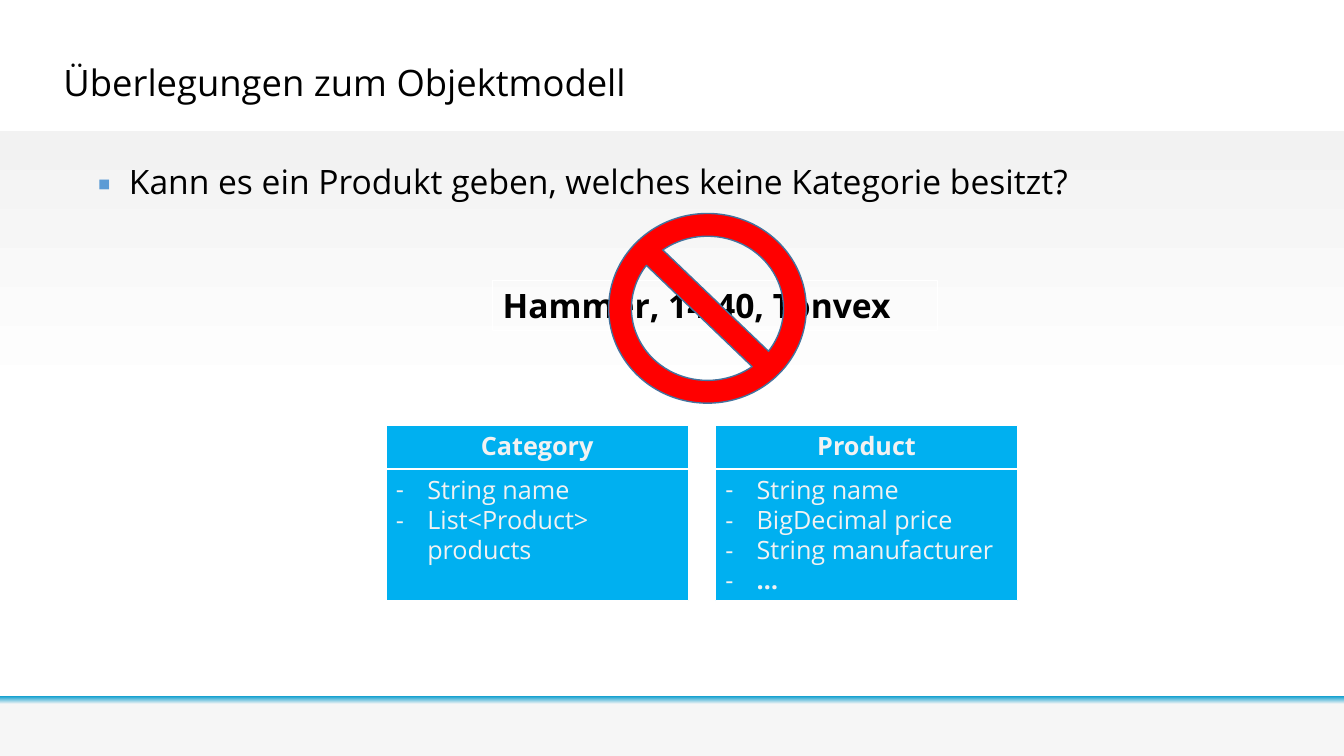
from lxml.etree import SubElement
from pptx import Presentation
from pptx.dml.color import RGBColor
from pptx.enum.shapes import MSO_SHAPE as Preset
from pptx.enum.text import MSO_ANCHOR as Anchor, PP_ALIGN as Align
from pptx.oxml.ns import qn
from pptx.util import Cm, Pt

FONT = "Open Sans"
BLACK, WHITE, PALE, BLUE = "000000", "FFFFFF", "F2F2F2", "00B0F0"
SLIDE_WIDTH, SLIDE_HEIGHT = 33.87, 19.05
INDENT = Cm(0.79)


def color(hex_value):
    return RGBColor.from_string(hex_value)


def add_preset(slide, preset, box, fill=None, line=None, line_width=1):
    shape = slide.shapes.add_shape(preset, *map(Cm, box))
    shape.shadow.inherit = False
    if fill:
        shape.fill.solid()
        shape.fill.fore_color.rgb = color(fill)
    else:
        shape.fill.background()
    if line:
        shape.line.color.rgb = color(line)
        shape.line.width = Pt(line_width)
    else:
        shape.line.fill.background()
    return shape


def add_gradient_band(slide, box, stops):
    band = add_preset(slide, Preset.RECTANGLE, box)
    band.fill.gradient()
    band.fill.gradient_angle = 270
    for stop, (position, hex_value) in zip(band.fill.gradient_stops, stops):
        stop.position = position
        stop.color.rgb = color(hex_value)


def write(shape, text, size, text_color, bold=False, align=Align.LEFT,
          anchor=Anchor.TOP):
    frame = shape.text_frame
    frame.word_wrap = True
    frame.vertical_anchor = anchor
    frame.text = text
    for paragraph in frame.paragraphs:
        paragraph.alignment = align
        for run in paragraph.runs:
            run.font.name = FONT
            run.font.size = Pt(size)
            run.font.bold = bold
            run.font.color.rgb = color(text_color)
    return frame.paragraphs


def add_bullet(paragraph, char, bullet_color):
    properties = paragraph._p.get_or_add_pPr()
    properties.set("marL", str(INDENT))
    properties.set("indent", str(-INDENT))
    tint = SubElement(properties, qn("a:buClr"))
    SubElement(tint, qn("a:srgbClr"), val=bullet_color)
    SubElement(properties, qn("a:buFont"), typeface=FONT)
    SubElement(properties, qn("a:buChar"), char=char)


def add_class_card(slide, left, name, fields):
    top, width, height, header = 10.72, 7.62, 4.42, 1.1
    card = add_preset(slide, Preset.RECTANGLE, (left, top, width, height),
                      BLUE, WHITE)
    write(card, name, 18, PALE, bold=True, align=Align.CENTER)
    body = add_preset(slide, Preset.RECTANGLE,
                      (left, top + header, width, height - header), BLUE, WHITE)
    field_lines = write(body, "\n".join(fields), 18, PALE)
    for field_line in field_lines:
        add_bullet(field_line, "-", PALE)
    return field_lines


def add_text(slide, box, text, size, **style):
    textbox = slide.shapes.add_textbox(*map(Cm, box))
    return write(textbox, text, size, BLACK, **style)[0]


def main():
    deck = Presentation()
    deck.slide_width, deck.slide_height = Cm(SLIDE_WIDTH), Cm(SLIDE_HEIGHT)
    slide = deck.slides.add_slide(deck.slide_layouts[6])

    # Background bands
    add_gradient_band(slide, (0, 17.53, SLIDE_WIDTH, 1.52),
                      [(0, "0099CC"), (0.14, "F6F6F6")])
    add_gradient_band(slide, (0, 3.3, SLIDE_WIDTH, 6.88),
                      [(0, PALE), (1, WHITE)])

    # Title and question
    title = add_text(slide, (1.35, 1.02, 31.17, 2.21),
                     "Überlegungen zum Objektmodell", 26, anchor=Anchor.MIDDLE)
    title.line_spacing = 0.9
    question = add_text(
        slide, (2.21, 3.94, 28.4, 1.27),
        "Kann es ein Produkt geben, welches keine Kategorie besitzt?", 24)
    add_bullet(question, "▪", "5B9BD5")

    # Class cards
    product_fields = add_class_card(
        slide, 18.03, "Product",
        ["String name", "BigDecimal price", "String manufacturer", "…"])
    product_fields[-1].runs[0].font.bold = True
    add_class_card(slide, 9.73, "Category",
                   ["String name", "List<Product> products"])

    # Rejected example product
    example = add_preset(slide, Preset.RECTANGLE, (12.42, 7.06, 11.2, 1.27),
                         line=WHITE, line_width=0.75)
    write(example, "Hammer, 14.40, Tonvex", 24, BLACK, bold=True)
    ban = add_preset(slide, Preset.NO_SYMBOL, (15.34, 5.38, 4.98, 4.78),
                     "FF0000", "43739E")
    ban.adjustments[0] = 0.12

    deck.save("out.pptx")


if __name__ == "__main__":
    main()
